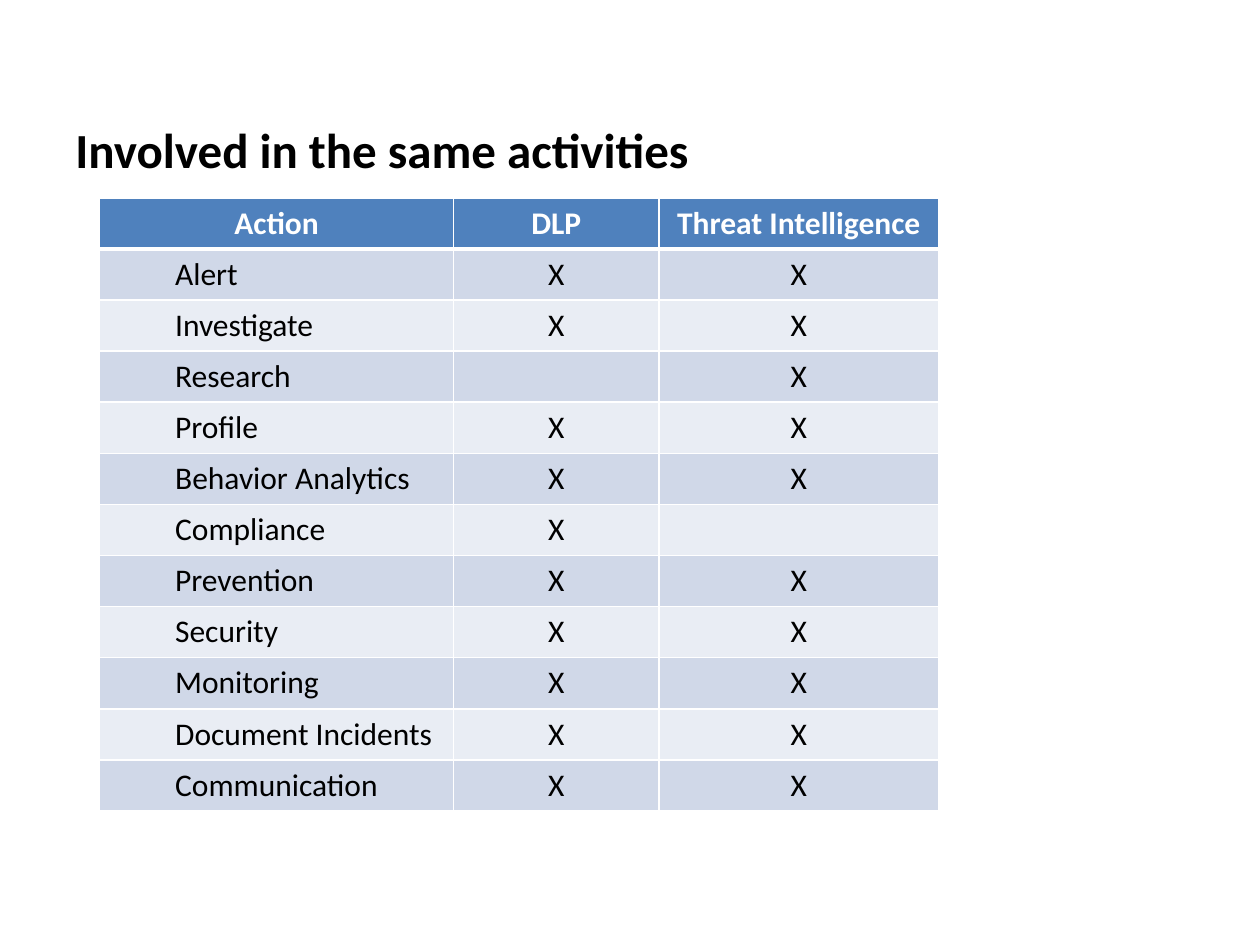
from collections import namedtuple
from dataclasses import dataclass
from lxml.etree import SubElement
from pptx import Presentation
from pptx.dml.color import RGBColor
from pptx.enum.text import MSO_ANCHOR, PP_ALIGN
from pptx.oxml.ns import qn
from pptx.util import Inches, Pt

Box = namedtuple("Box", "x y w h")


@dataclass(frozen=True)
class Theme:
    font: str = "Calibri"
    title_size: int = 28
    table_size: int = 18
    ink: str = "000000"
    paper: str = "FFFFFF"
    header: str = "4F81BD"
    bands: tuple = ("D0D8E8", "E9EDF4")
    rule: int = 1
    header_rule: int = 3


THEME = Theme()
SLIDE_W, SLIDE_H = 10, 7.5
TITLE_BOX = Box(0.5, 0.82, 9, 0.73)
TABLE_BOX = Box(0.79, 1.57, 6.66, 4.87)
COLUMN_SHARES = (2.81, 1.63, 2.22)
ACTION_INDENT = 0.5
HEADINGS = ("Action", "DLP", "Threat Intelligence")
ACTIONS = ("Alert", "Investigate", "Research", "Profile", "Behavior Analytics",
           "Compliance", "Prevention", "Security", "Monitoring",
           "Document Incidents", "Communication")
NOT_DLP = {"Research"}
NOT_THREAT = {"Compliance"}


def add_run(p, text, size, color, bold=False):
    r = p.add_run()
    r.text = text
    r.font.name = THEME.font
    r.font.size = Pt(size)
    r.font.bold = bold
    r.font.color.rgb = RGBColor.from_string(color)


def add_title(s, box, text):
    tf = s.shapes.add_textbox(*map(Inches, box)).text_frame
    tf.word_wrap = True
    tf.vertical_anchor = MSO_ANCHOR.MIDDLE
    add_run(tf.paragraphs[0], text, THEME.title_size, THEME.ink, bold=True)


def set_borders(cell, top, bottom):
    tcPr = cell._tc.get_or_add_tcPr()
    widths = {"L": THEME.rule, "R": THEME.rule, "T": top, "B": bottom}
    for side, width in widths.items():
        ln = SubElement(tcPr, qn(f"a:ln{side}"), w=str(Pt(width)))
        fill = SubElement(ln, qn("a:solidFill"))
        SubElement(fill, qn("a:srgbClr"), val=THEME.paper)


def fill_cell(cell, text, row, col):
    is_header = row == 0
    set_borders(cell,
                THEME.header_rule if row == 1 else THEME.rule,
                THEME.header_rule if is_header else THEME.rule)
    cell.fill.solid()
    color = THEME.header if is_header else THEME.bands[(row - 1) % 2]
    cell.fill.fore_color.rgb = RGBColor.from_string(color)
    p = cell.text_frame.paragraphs[0]
    if is_header or col > 0:
        p.alignment = PP_ALIGN.CENTER
    else:
        p.level = 1
        pPr = p._p.get_or_add_pPr()
        pPr.set("marL", str(Inches(ACTION_INDENT)))
        pPr.set("indent", "0")
    if text:
        add_run(p, text, THEME.table_size,
                THEME.paper if is_header else THEME.ink, is_header)


def add_activity_table(s, box, rows):
    table = s.shapes.add_table(len(rows), len(COLUMN_SHARES),
                               *map(Inches, box)).table
    for column, share in zip(table.columns, COLUMN_SHARES):
        column.width = Inches(box.w * share / sum(COLUMN_SHARES))
    for i, values in enumerate(rows):
        table.rows[i].height = Inches(box.h / len(rows))
        for j, text in enumerate(values):
            fill_cell(table.cell(i, j), text, i, j)


def main():
    prs = Presentation()
    prs.slide_width, prs.slide_height = Inches(SLIDE_W), Inches(SLIDE_H)
    s = prs.slides.add_slide(prs.slide_layouts[6])
    rows = [HEADINGS] + [(action,
                          "" if action in NOT_DLP else "X",
                          "" if action in NOT_THREAT else "X")
                         for action in ACTIONS]
    add_activity_table(s, TABLE_BOX, rows)
    add_title(s, TITLE_BOX, "Involved in the same activities")
    prs.save("out.pptx")


if __name__ == "__main__":
    main()
